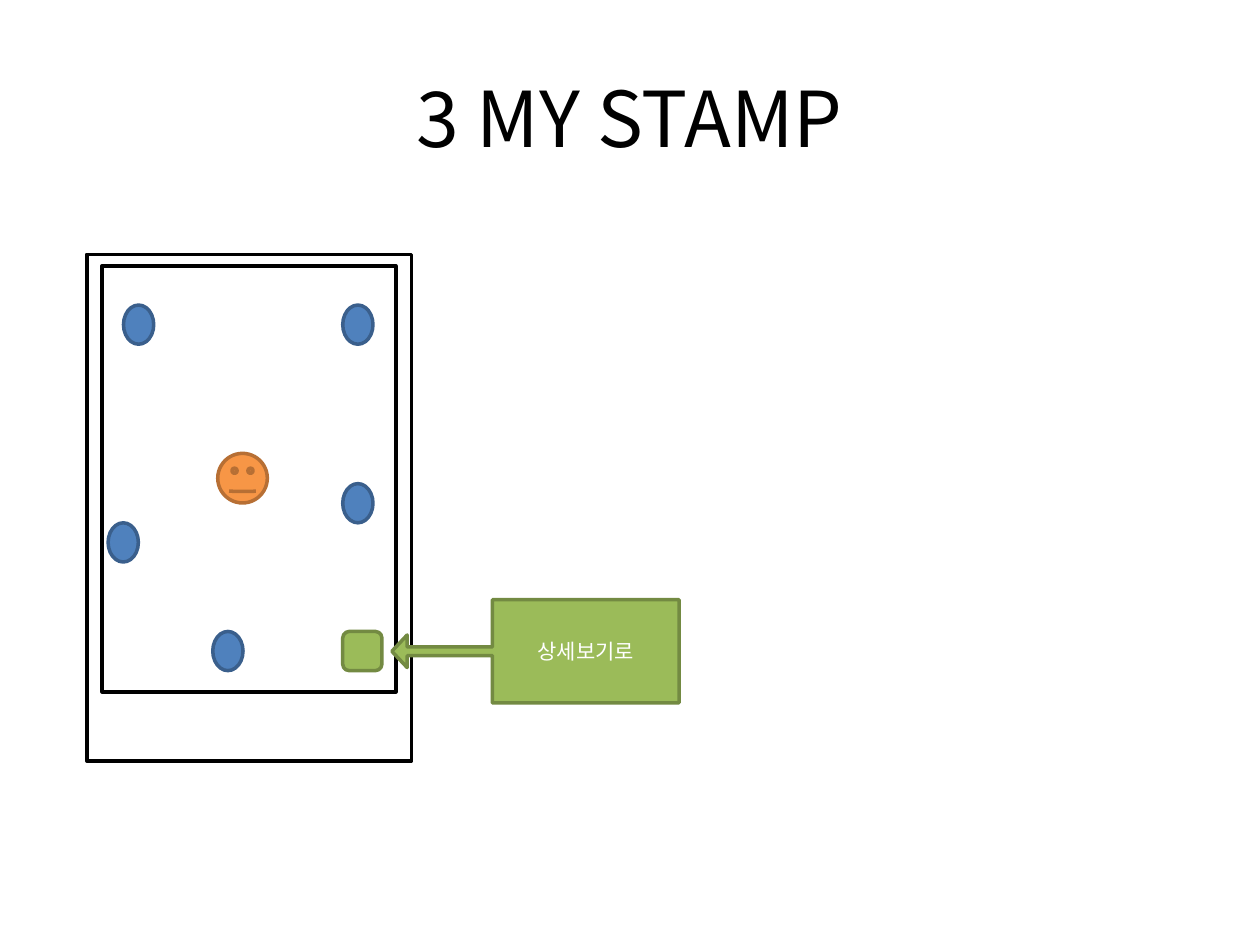
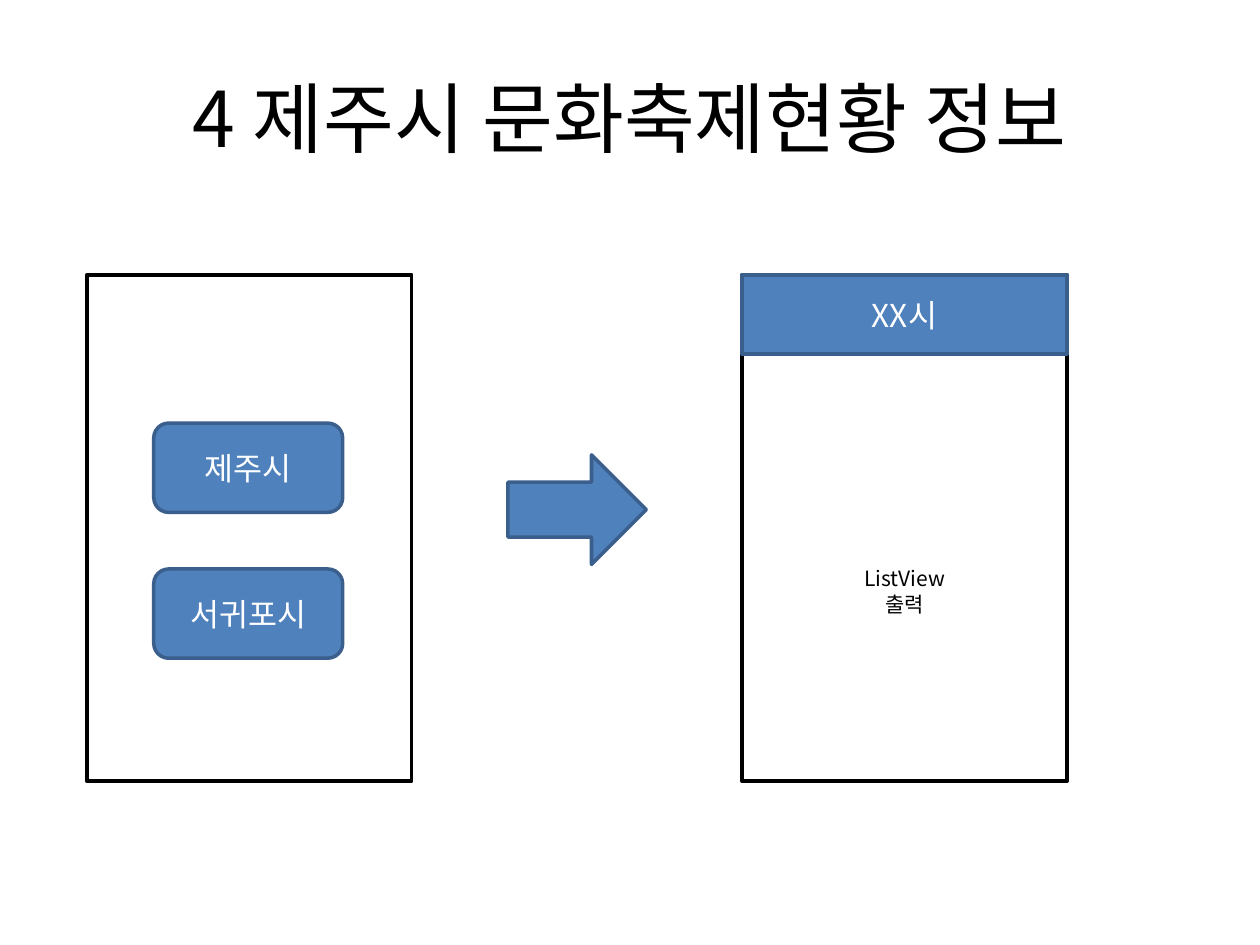
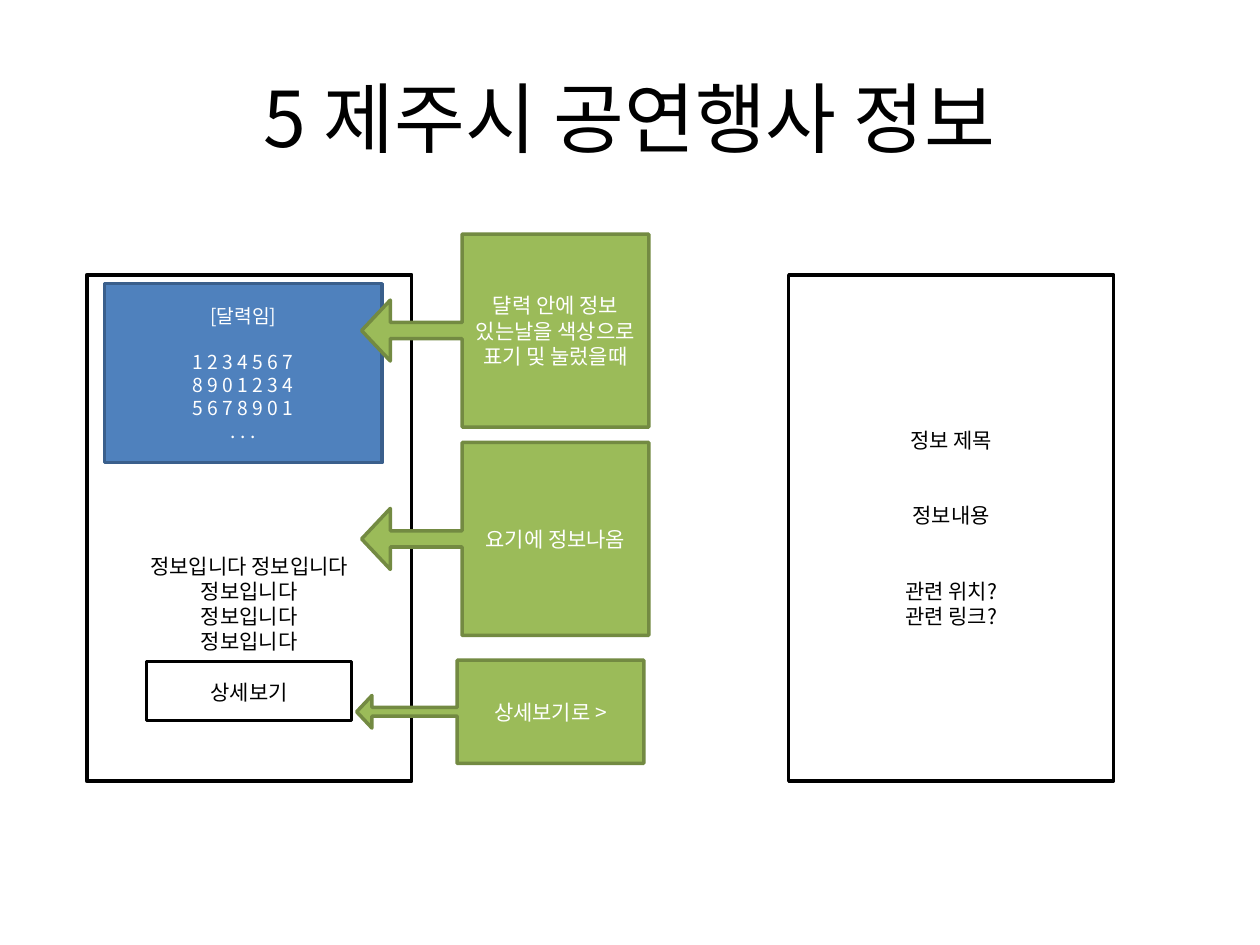
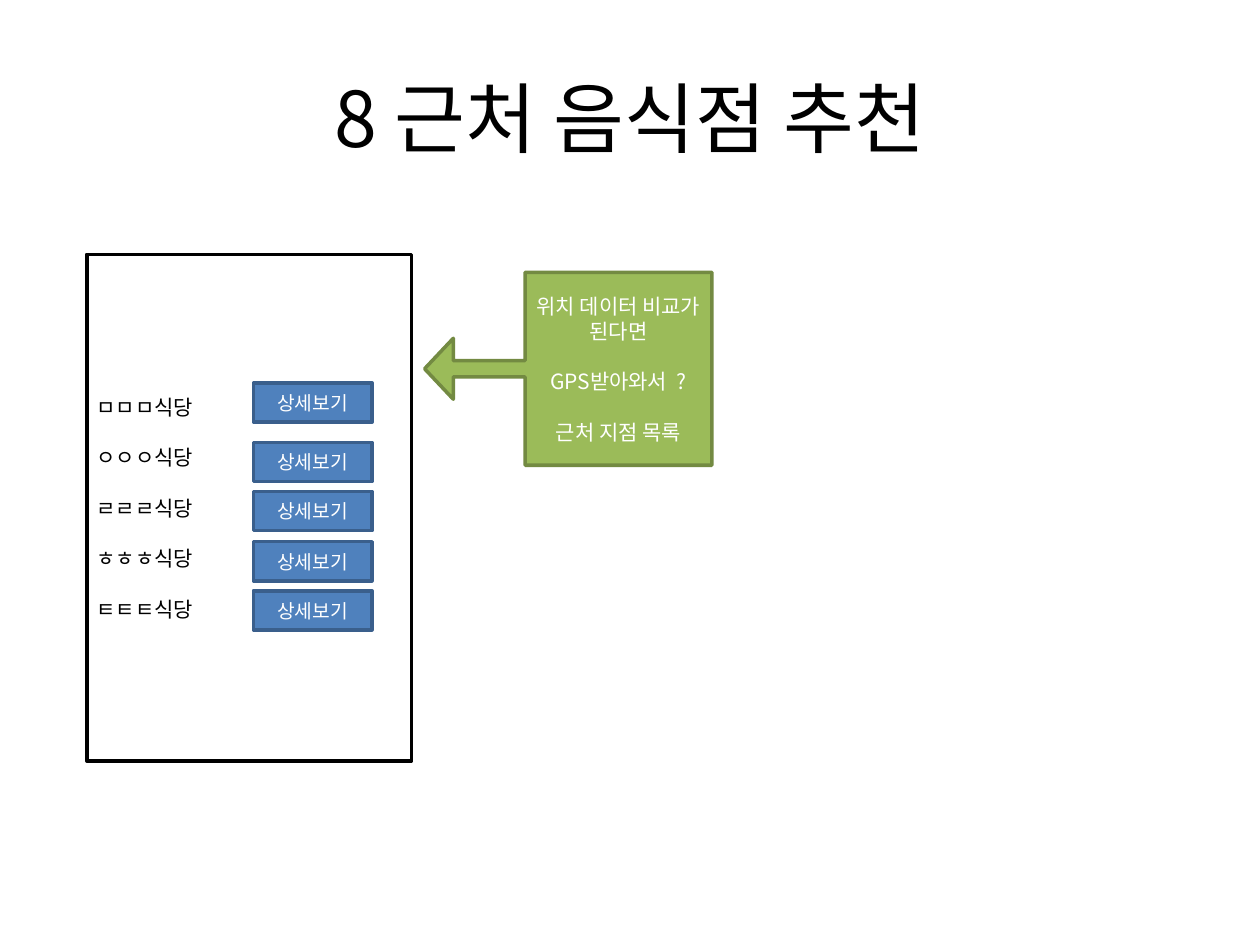
"""Builds four wireframe slides of a travel app."""
from pptx import Presentation
from pptx.dml.color import RGBColor
from pptx.enum.shapes import MSO_SHAPE
from pptx.enum.text import MSO_ANCHOR, PP_ALIGN
from pptx.oxml import parse_xml
from pptx.oxml.ns import nsdecls
from pptx.util import Cm, Pt

FONT = "Noto Sans CJK KR"
HUES = {"ink": "000000", "paper": "FFFFFF", "blue": "4F81BD", "navy": "3A5F8C",
        "green": "9BBB59", "moss": "738A42", "orange": "F79646", "rust": "B76F34"}
LOOKS = {"frame": ("paper", "ink", "ink"), "clear": (None, "ink", "ink"),
         "blue": ("blue", "navy", "paper"), "green": ("green", "moss", "paper"),
         "face": ("orange", "rust", "paper")}
LEAD = 1.2
LEFT = 1.75
WIDE, HIGH = 6.55, 10.21


class Deck:
    def __init__(self):
        self.prs = Presentation()
        self.prs.slide_width, self.prs.slide_height = Cm(25.4), Cm(19.05)
        self.slide = None

    def hue(self, name):
        return RGBColor.from_string(HUES[name])

    def run(self, para, text, size, hue):
        run = para.add_run()
        run.text = text
        run.font.size = Pt(size)
        run.font.name = FONT
        run.font.color.rgb = self.hue(hue)
        east = parse_xml(f'<a:ea {nsdecls("a")} typeface="{FONT}"/>')
        run._r.get_or_add_rPr().append(east)

    def page(self, text):
        self.slide = self.prs.slides.add_slide(self.prs.slide_layouts[5])
        title = self.slide.shapes.title
        title.left, title.top = Cm(1.27), Cm(0.76)
        title.width, title.height = Cm(22.86), Cm(3.18)
        title.text_frame.vertical_anchor = MSO_ANCHOR.MIDDLE
        para = title.text_frame.paragraphs[0]
        para.alignment = PP_ALIGN.CENTER
        self.run(para, text, 44, "ink")

    def label(self, shape, text, size, hue, align):
        frame = shape.text_frame
        frame.word_wrap = True
        frame.vertical_anchor = MSO_ANCHOR.MIDDLE
        frame.margin_left = frame.margin_right = Cm(0.2)
        gap, first = 0, True
        for line in text.split("\n"):
            if not line:
                gap += 1
                continue
            space = Pt(gap * size * LEAD)
            if first:
                para = frame.paragraphs[0]
                frame.margin_top = Cm(0.13) + space
            else:
                para = frame.add_paragraph()
                para.space_before = space
            para.line_spacing = Pt(size * LEAD)
            para.alignment = align
            self.run(para, line, size, hue)
            gap, first = 0, False

    def box(self, kind, look, x, y, w, h, text="", size=12, align=PP_ALIGN.CENTER):
        shape = self.slide.shapes.add_shape(kind, Cm(x), Cm(y), Cm(w), Cm(h))
        shape.shadow.inherit = False
        fill, line, ink = LOOKS[look]
        if fill:
            shape.fill.solid()
            shape.fill.fore_color.rgb = self.hue(fill)
        else:
            shape.fill.background()
        shape.line.color.rgb = self.hue(line)
        shape.line.width = Pt(2)
        if text:
            self.label(shape, text, size, ink, align)
        return shape

    def rect(self, look, *args, **more):
        return self.box(MSO_SHAPE.RECTANGLE, look, *args, **more)

    def phone(self, x, y, text="", align=PP_ALIGN.CENTER):
        self.rect("frame", x, y, WIDE, HIGH, text, align=align)

    def pill(self, *args):
        self.box(MSO_SHAPE.ROUNDED_RECTANGLE, *args)

    def dot(self, x, y):
        self.box(MSO_SHAPE.OVAL, "blue", x, y, 0.61, 0.79)

    def face(self, x, y, side):
        shape = self.box(MSO_SHAPE.SMILEY_FACE, "face", x, y, side, side)
        shape.adjustments[0] = 0.002

    def note(self, x, y, h, text):
        shape = self.box(MSO_SHAPE.LEFT_ARROW_CALLOUT, "green", x, y, 5.79, h, text)
        for i, value in enumerate((0.084, 0.158, 0.149, 0.65)):
            shape.adjustments[i] = value


def stamp(deck):
    deck.page("3 MY STAMP")
    deck.phone(LEFT, 5.13)
    deck.rect("frame", 2.06, 5.36, 5.92, 8.59)
    for x, y in ((2.49, 6.15), (6.91, 6.15), (4.29, 12.73), (6.91, 9.75), (2.18, 10.54)):
        deck.dot(x, y)
    deck.face(4.39, 9.14, 1)
    deck.pill("green", 6.91, 12.73, 0.79, 0.79)
    deck.note(7.9, 12.09, 2.08, "상세보기로")


def fest(deck):
    deck.page("4 제주시 문화축제현황 정보")
    deck.phone(LEFT, 5.54)
    deck.phone(14.96, 5.54, "\n" * 5 + "ListView\n출력")
    for i, city in enumerate(("제주시", "서귀포시")):
        deck.pill("blue", 3.1, 8.53 + i * 2.94, 3.81, 1.8, city, 18)
    deck.box(MSO_SHAPE.RIGHT_ARROW, "blue", 10.24, 9.17, 2.79, 2.21)
    deck.rect("blue", 14.96, 5.54, WIDE, 1.6, "XX시", 18)


def show(deck):
    deck.page("5 제주시 공연행사 정보")
    info = "정보입니다"
    lines = (f"{info} {info}", info, info, info, "", "상세보기")
    deck.phone(LEFT, 5.54, "\n" * 8 + "\n".join(lines))
    deck.rect("blue", 2.11, 5.72, 5.59, 3.61,
              "[달력임]\n\n1 2 3 4 5 6 7\n8 9 0 1 2 3 4\n5 6 7 8 9 0 1\n. . .", 11)
    deck.note(7.29, 4.72, 3.89, "댤력 안에 정보 있는날을 색상으로 표기 및 눌렀을때")
    deck.note(7.29, 8.92, 3.89, "요기에 정보나옴")
    deck.rect("clear", 2.95, 13.34, 4.14, 1.19)
    deck.note(7.19, 13.31, 2.08, "상세보기로 >")
    deck.phone(15.9, 5.54, "정보 제목\n\n\n정보내용\n\n\n관련 위치?\n관련 링크?")


def food(deck):
    deck.page("8 근처 음식점 추천")
    names = "\n\n".join(mark * 3 + "식당" for mark in "ㅁㅇㄹㅎㅌ")
    deck.phone(LEFT, 5.13, names, PP_ALIGN.LEFT)
    deck.note(8.56, 5.49, 3.89,
              "위치 데이터 비교가 된다면\n\nGPS받아와서  ?\n\n근처 지점 목록")
    for y in (7.72, 8.92, 9.91, 10.92, 11.91):
        deck.rect("blue", 5.11, y, 2.39, 0.79, "상세보기", 11)


deck = Deck()
for build in (stamp, fest, show, food):
    build(deck)
deck.prs.save("out.pptx")
